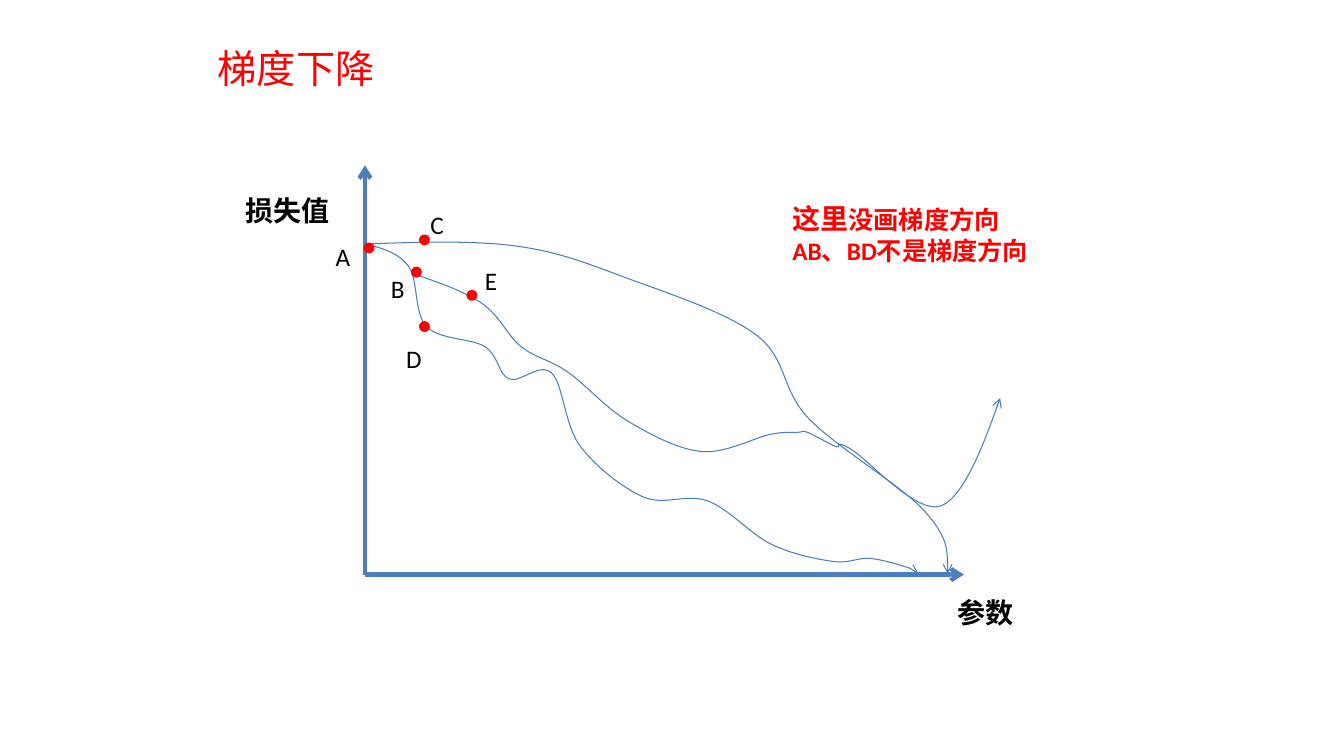
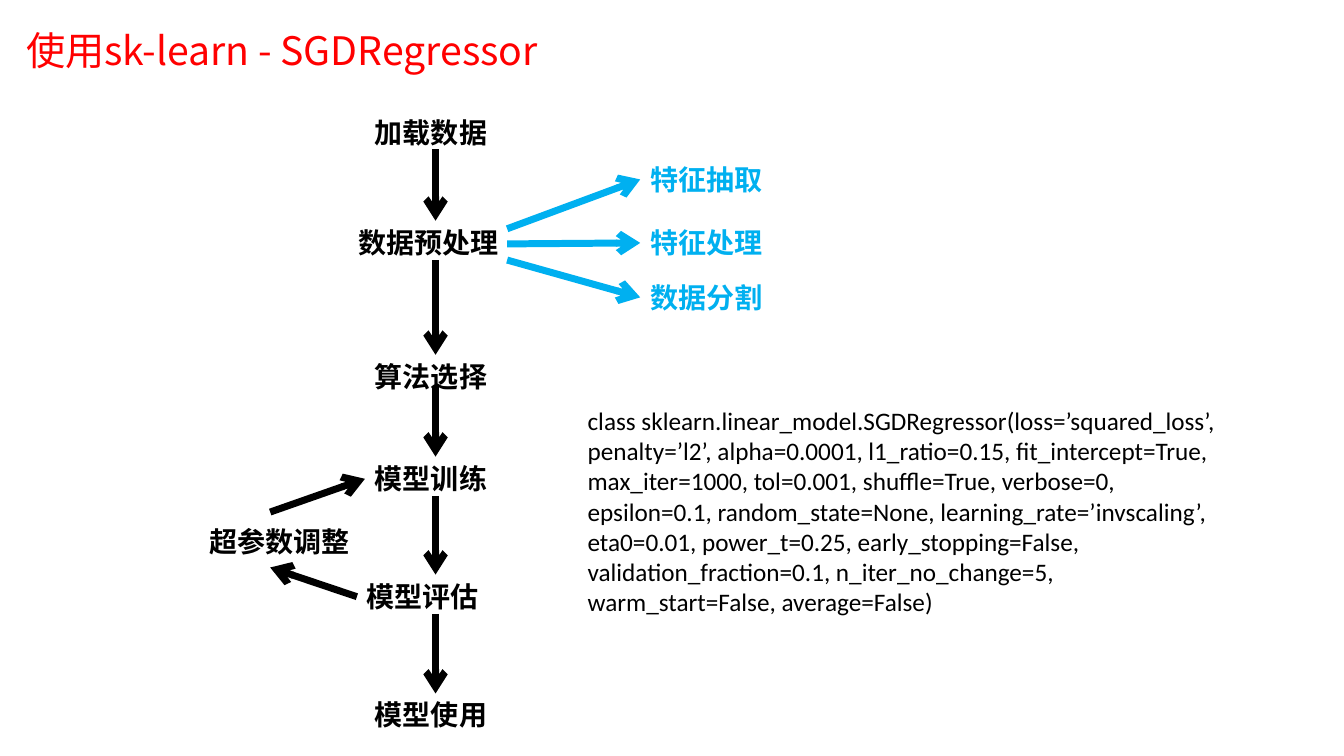
from lxml import etree
from pptx import Presentation
from pptx import util as u
from pptx.dml.color import RGBColor
from pptx.enum import shapes, text
from pptx.oxml import ns

PX = 9144  # EMU per px, 100 px to the inch
RED = RGBColor(0xFF, 0x00, 0x00)
BLUE = RGBColor(0x4B, 0x7E, 0xBC)
SKY = RGBColor(0x00, 0xB0, 0xF0)
BLACK = RGBColor(0x00, 0x00, 0x00)
BODY, CJK = "Calibri", "Noto Sans CJK SC"

# Slide 1: loss curves
DESCENT = ("梯度下降", (206, 39, 177, 57))
ORIGIN = (362, 570)
AXIS_ENDS = [(956, 570), (362, 164)]
AXIS_NAMES = [("参数", (940, 586, 94, 44)), ("损失值", (234, 187, 120, 44))]
DOT = 8
POINTS = [  # letter, letter box, dot position
    ("A", (323, 234, 35, 40), (362, 242)),
    ("B", (378, 266, 34, 40), (409, 266)),
    ("C", (417, 203, 34, 40), (417, 234)),
    ("D", (393, 336, 36, 40), (417, 320)),
    ("E", (471, 258, 32, 40), (464, 289)),
]
CURVES = [  # pull of the last handle towards the end knot, knots
    (0.5, [(362, 242), (405, 264), (423, 324), (481, 344), (505, 376),
           (547, 370), (575, 442), (638, 493), (702, 497), (765, 540),
           (826, 557), (862, 554), (897, 562), (911, 569)]),
    (0.5, [(364, 242), (511, 244), (622, 276), (751, 333), (802, 415),
           (917, 507), (940, 569)]),
    (1, [(411, 272), (478, 301), (517, 344), (563, 369), (623, 418),
         (696, 448), (764, 431), (791, 429), (801, 429), (829, 443),
         (843, 445), (933, 502), (992, 395)]),
]
REMARK = [[("这里", 20), ("没画梯度方向", 18)], [("AB、BD不是梯度方向", 18)]]
REMARK_BOX = (776, 195, 258, 74)

# Slide 2: workflow
WORKFLOW = ("使用sk-learn - SGDRegressor", (16, 21, 553, 57))
STEPS = [
    ("加载数据", (362, 110, 133, 44)), ("数据预处理", (346, 219, 161, 44)),
    ("算法选择", (362, 352, 133, 44)), ("模型训练", (362, 453, 133, 44)),
    ("模型评估", (354, 570, 141, 44)), ("模型使用", (362, 687, 133, 44)),
    ("超参数调整", (198, 515, 161, 44)),
]
TASKS = [(words, (635, y, 133, 44)) for words, y in
         (("特征抽取", 156), ("特征处理", 219), ("数据分割", 273))]
SPINE_X = 432
SPINE = [(148, 219), (258, 352), (383, 453), (492, 570), (609, 688)]
TUNING = [((268, 508), (362, 475)), ((354, 592), (268, 563))]
FAN_X = (503, 635)
FAN = [(227, 178), (242, 241), (258, 295)]
SIGNATURE = (
    "class sklearn.linear_model.SGDRegressor(loss=’squared_loss’, "
    "penalty=’l2’, alpha=0.0001, l1_ratio=0.15, fit_intercept=True, "
    "max_iter=1000, tol=0.001, shuffle=True, verbose=0, epsilon=0.1, "
    "random_state=None, learning_rate=’invscaling’, eta0=0.01, "
    "power_t=0.25, early_stopping=False, validation_fraction=0.1, "
    "n_iter_no_change=5, warm_start=False, average=False)"
)
SIGNATURE_BOX = (573, 397, 653, 222)


def emu(values):
    return [round(v * PX) for v in values]


def format_run(r, size, color, bold=False, font=BODY):
    r.font.size, r.font.bold = u.Pt(size), bold
    r.font.color.rgb = color
    r.font.name = font
    ea = etree.SubElement(r._r.get_or_add_rPr(), ns.qn("a:ea"))
    ea.set("typeface", CJK)


def add_text(s, box, paragraphs, color=BLACK, bold=False):
    """Add a text box; each paragraph is a list of (text, size) runs."""
    tf = s.shapes.add_textbox(*emu(box)).text_frame
    tf.word_wrap = True
    tf.auto_size = text.MSO_AUTO_SIZE.SHAPE_TO_FIT_TEXT
    for i, runs in enumerate(paragraphs):
        p = tf.add_paragraph() if i else tf.paragraphs[0]
        for words, size in runs:
            r = p.add_run()
            r.text = words
            format_run(r, size, color, bold)
    return tf


def add_label(s, words, box, color=BLACK, size=20, bold=True):
    """Add a label that stays on one line."""
    add_text(s, box, [[(words, size)]], color, bold).word_wrap = False


def format_arrow(line, color, width):
    line.color.rgb, line.width = color, u.Pt(width)
    etree.SubElement(line._get_or_add_ln(), ns.qn("a:tailEnd"), type="arrow")


def add_arrow(s, start, end, color, width):
    sp = s.shapes.add_connector(shapes.MSO_CONNECTOR.STRAIGHT,
                                *emu(start + end))
    format_arrow(sp.line, color, width)
    etree.SubElement(sp._element.spPr, ns.qn("a:effectLst"))


def between(a, b, t):
    return tuple(m + (n - m) * t for m, n in zip(a, b))


def bezier_points(knots, pull):
    """First knot, then two handles and a knot for each Bézier segment."""
    points, last = [knots[0]], len(knots) - 2
    for i in range(last + 1):
        a, b = knots[i], knots[i + 1]
        if i < last:
            c2 = tuple(n - (f - m) / 6 for m, n, f in zip(a, b, knots[i + 2]))
        if i > 0:
            c1 = tuple(m + (n - e) / 6 for e, m, n in zip(knots[i - 1], a, b))
        else:
            c1 = between(a, c2, 0.5)
        if i == last:
            c2 = between(c1, b, pull)
        points += [c1, c2, b]
    return points


def add_curve(s, knots, pull):
    points = [emu(q) for q in bezier_points(knots, pull)]
    builder = s.shapes.build_freeform(*points[0], scale=1.0)
    builder.add_line_segments(points[1:], close=False)
    sp = builder.convert_to_shape()
    # Merge every three straight segments into one Bézier segment.
    segments = list(sp._element.iter(ns.qn("a:lnTo")))
    for i in range(0, len(segments), 3):
        curve = etree.Element(ns.qn("a:cubicBezTo"))
        segments[i].addprevious(curve)
        for segment in segments[i:i + 3]:
            curve.append(segment[0])
            segment.getparent().remove(segment)
    sp.shadow.inherit = False
    sp.fill.background()
    format_arrow(sp.line, BLUE, 0.75)


def add_dot(s, x, y):
    sp = s.shapes.add_shape(shapes.MSO_SHAPE.OVAL, *emu((x, y, DOT, DOT)))
    sp.shadow.inherit = False
    sp.fill.solid()
    sp.fill.fore_color.rgb = sp.line.color.rgb = RED
    sp.line.width = u.Pt(2)


def add_slide(prs, title, box):
    s = prs.slides.add_slide(prs.slide_layouts[5])
    sp = s.shapes.title
    sp.left, sp.top, sp.width, sp.height = emu(box)
    tf = sp.text_frame
    tf.text = title
    tf.word_wrap = False
    tf.auto_size = text.MSO_AUTO_SIZE.SHAPE_TO_FIT_TEXT
    tf.vertical_anchor = text.MSO_ANCHOR.TOP
    p = tf.paragraphs[0]
    p.alignment = text.PP_ALIGN.LEFT
    format_run(p.runs[0], 28, RED, font=CJK)
    return s


def build_descent(prs):
    s = add_slide(prs, *DESCENT)
    for end in AXIS_ENDS:
        add_arrow(s, ORIGIN, end, BLUE, 3)
    for words, box in AXIS_NAMES:
        add_text(s, box, [[(words, 20)]], bold=True)
    for pull, knots in CURVES:
        add_curve(s, knots, pull)
    for letter, box, dot in POINTS:
        add_label(s, letter, box, size=18, bold=False)
        add_dot(s, *dot)
    add_text(s, REMARK_BOX, REMARK, RED, bold=True)


def build_workflow(prs):
    s = add_slide(prs, *WORKFLOW)
    for labels, color in ((STEPS, BLACK), (TASKS, SKY)):
        for words, box in labels:
            add_label(s, words, box, color)
    spine = [((SPINE_X, top), (SPINE_X, bottom)) for top, bottom in SPINE]
    fan = [tuple(zip(FAN_X, ys)) for ys in FAN]
    for arrows, color in ((spine + TUNING, BLACK), (fan, SKY)):
        for start, end in arrows:
            add_arrow(s, start, end, color, 5)
    add_text(s, SIGNATURE_BOX, [[(SIGNATURE, 18)]])


def main():
    prs = Presentation()
    prs.slide_width, prs.slide_height = emu((1333, 750))
    build_descent(prs)
    build_workflow(prs)
    prs.save("out.pptx")


if __name__ == "__main__":
    main()
